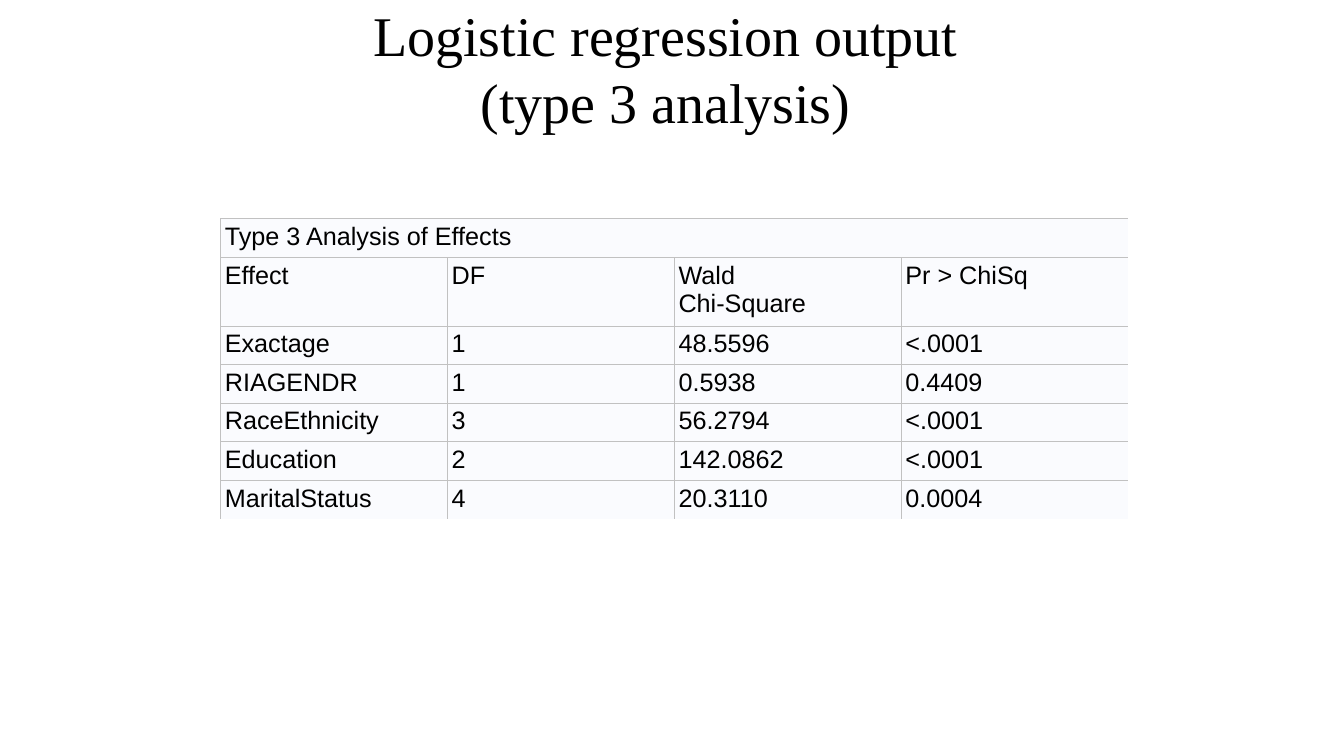
"""Build a slide with a table of type 3 effects from a logistic regression."""
from dataclasses import dataclass

from lxml import etree
from pptx import Presentation
from pptx.dml.color import RGBColor
from pptx.enum.text import MSO_ANCHOR, MSO_AUTO_SIZE, PP_ALIGN
from pptx.oxml.ns import qn
from pptx.util import Inches, Pt

LEFT, CENTER = PP_ALIGN.LEFT, PP_ALIGN.CENTER
TOP, MIDDLE = MSO_ANCHOR.TOP, MSO_ANCHOR.MIDDLE
NO_AUTOFIT = MSO_AUTO_SIZE.NONE


@dataclass(frozen=True)
class Theme:
    ink: str = "000000"
    cell: str = "FAFBFE"
    rule: str = "C1C1C1"
    rule_width: float = 0.6
    title_font: str = "Times New Roman"
    title_size: int = 40
    table_font: str = "Arial"
    table_size: int = 18


THEME = Theme()


def write(frame, text, *, font, size, color=THEME.ink, align=LEFT, before=0):
    frame.text = text
    for paragraph in frame.paragraphs:
        paragraph.alignment = align
        paragraph.space_before = Pt(before)
        paragraph.font.name = font
        paragraph.font.size = Pt(size)
        paragraph.font.color.rgb = RGBColor.from_string(color)


def rule_cell(cell, ruled_sides):
    properties = cell._tc.get_or_add_tcPr()
    for side in "LRTB":
        line = etree.SubElement(properties, qn(f"a:ln{side}"), w=str(Pt(THEME.rule_width)))
        if side in ruled_sides:
            fill = etree.SubElement(line, qn("a:solidFill"))
            etree.SubElement(fill, qn("a:srgbClr"), val=THEME.rule)
        else:
            etree.SubElement(line, qn("a:noFill"))


deck = Presentation()
deck.slide_width, deck.slide_height = Inches(13.33), Inches(7.5)
slide = deck.slides.add_slide(deck.slide_layouts[5])

heading = slide.shapes.title
heading.left, heading.top = Inches(2.17), Inches(0.17)
heading.width, heading.height = Inches(9), Inches(1)
heading.text_frame.auto_size = NO_AUTOFIT
heading.text_frame.vertical_anchor = MIDDLE
write(heading.text_frame, "Logistic regression output \n(type 3 analysis) ",
      font=THEME.title_font, size=THEME.title_size, align=CENTER)

effects = [
    ["Type 3 Analysis of Effects", "", "", ""],
    ["Effect", "DF", "Wald\vChi-Square", "Pr\u00a0>\u00a0ChiSq"],
    ["Exactage", "1", "48.5596", "<.0001"],
    ["RIAGENDR", "1", "0.5938", "0.4409"],
    ["RaceEthnicity", "3", "56.2794", "<.0001"],
    ["Education", "2", "142.0862", "<.0001"],
    ["MaritalStatus", "4", "20.3110", "0.0004"],
]
last_row, last_column = len(effects) - 1, len(effects[0]) - 1
table_height, header_height = Inches(2.98), Inches(0.68)
row_height = (table_height - header_height) // last_row

table = slide.shapes.add_table(len(effects), len(effects[0]), Inches(2.19), Inches(2.17),
                               Inches(9), table_height).table
for row in table.rows:
    row.height = row_height
table.rows[1].height = header_height
table.cell(0, 0).merge(table.cell(0, last_column))

for r, values in enumerate(effects):
    for c, value in enumerate(values):
        cell = table.cell(r, c)
        cell.margin_left = cell.margin_right = Inches(0.04)
        cell.margin_top = cell.margin_bottom = Inches(0.04)
        cell.vertical_anchor = TOP
        sides = "T" + "B" * (r < last_row)
        sides += "L" * (r > 0 or c == 0) + "R" * (r > 0 and c < last_column)
        rule_cell(cell, sides)
        cell.fill.solid()
        cell.fill.fore_color.rgb = RGBColor.from_string(THEME.cell)
        write(cell.text_frame, value, font=THEME.table_font, size=THEME.table_size)
        for paragraph in cell.text_frame.paragraphs:
            paragraph.font.bold = False

deck.save("out.pptx")
